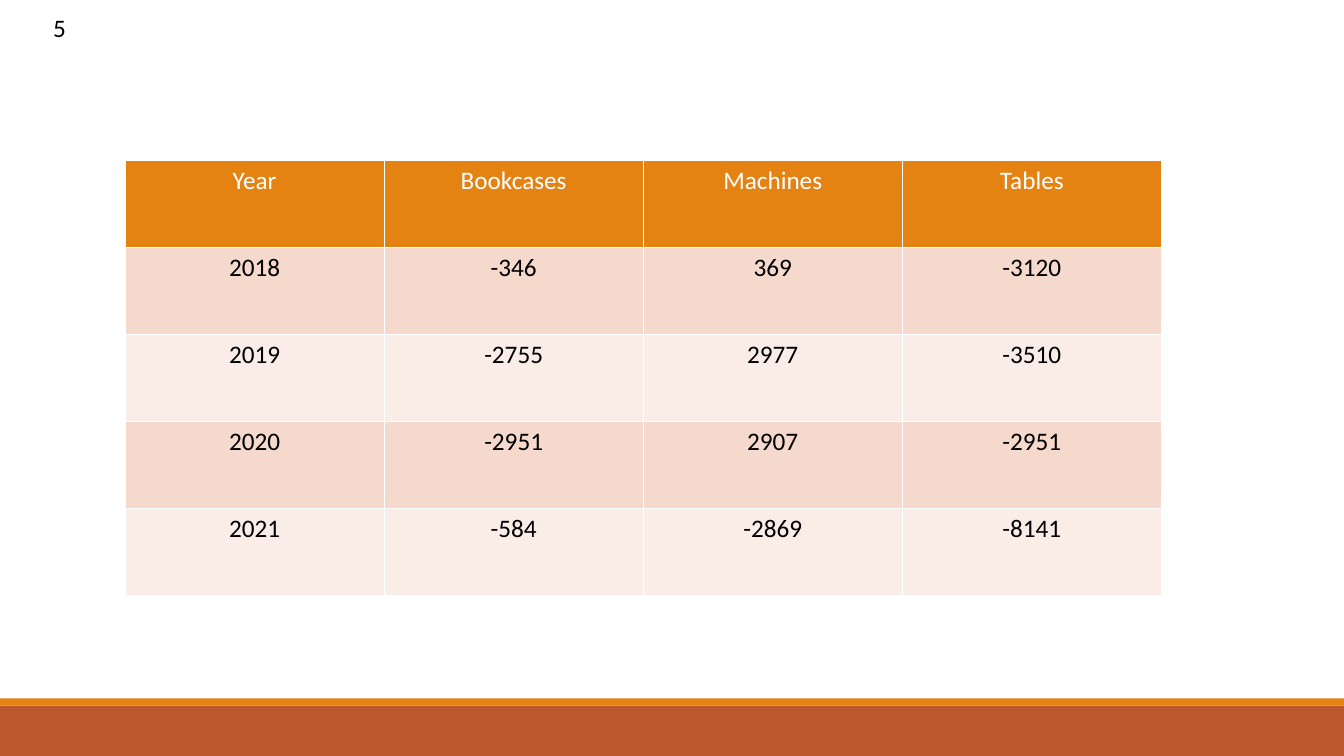
from pptx import Presentation
from pptx.dml.color import RGBColor
from pptx.enum.shapes import MSO_SHAPE
from pptx.enum.text import MSO_ANCHOR, PP_ALIGN
from pptx.util import Inches, Pt

WHITE = RGBColor(0xFF, 0xFF, 0xFF)
BLACK = RGBColor(0x00, 0x00, 0x00)
ORANGE = RGBColor(0xE4, 0x83, 0x12)
RUST = RGBColor(0xBD, 0x58, 0x2C)
BANDS = [RGBColor(0xF5, 0xD9, 0xCC), RGBColor(0xFA, 0xED, 0xE7)]

SLIDE_WIDTH, SLIDE_HEIGHT = 13.33, 7.5
HEADINGS = ["Year", "Bookcases", "Machines", "Tables"]
YEARLY_FIGURES = [
    [2018, -346, 369, -3120],
    [2019, -2755, 2977, -3510],
    [2020, -2951, 2907, -2951],
    [2021, -584, -2869, -8141],
]


def write_centred(frame, text, color):
    paragraph = frame.paragraphs[0]
    paragraph.alignment = PP_ALIGN.CENTER
    run = paragraph.add_run()
    run.text = text
    run.font.name = "Calibri"
    run.font.size = Pt(18)
    run.font.bold = False
    run.font.color.rgb = color


def add_bar(slide, left, top, width, height, color):
    bar = slide.shapes.add_shape(MSO_SHAPE.RECTANGLE, Inches(left), Inches(top),
                                 Inches(width), Inches(height))
    bar.shadow.inherit = False
    bar.fill.solid()
    bar.fill.fore_color.rgb = color
    bar.line.fill.background()
    return bar


def add_footer(slide, left, top, width, height):
    stripe = 0.07
    add_bar(slide, left, top + stripe, width, height - stripe, RUST)
    add_bar(slide, left, top, width, stripe, ORANGE)


def add_figures_table(slide, left, top, width, height):
    rows = [HEADINGS] + YEARLY_FIGURES
    figures = slide.shapes.add_table(len(rows), len(HEADINGS), Inches(left), Inches(top),
                                     Inches(width), Inches(height)).table
    for r, values in enumerate(rows):
        is_header = r == 0
        for c, value in enumerate(values):
            cell = figures.cell(r, c)
            cell.fill.solid()
            cell.fill.fore_color.rgb = ORANGE if is_header else BANDS[(r - 1) % 2]
            write_centred(cell.text_frame, str(value), WHITE if is_header else BLACK)


def add_page_number(slide, left, top, width, height, number):
    page = add_bar(slide, left, top, width, height, WHITE)
    page.line.color.rgb = WHITE
    page.line.width = Pt(1.25)
    page.text_frame.vertical_anchor = MSO_ANCHOR.MIDDLE
    write_centred(page.text_frame, str(number), BLACK)


def main():
    deck = Presentation()
    deck.slide_width = Inches(SLIDE_WIDTH)
    deck.slide_height = Inches(SLIDE_HEIGHT)
    slide = deck.slides.add_slide(deck.slide_layouts[6])  # blank: no title shown

    # Coloured band along the bottom
    add_footer(slide, 0, 6.93, SLIDE_WIDTH, SLIDE_HEIGHT - 6.93)
    # Figures per year
    add_figures_table(slide, 1.24, 1.59, 10.28, 4.32)
    # Page number in the top left corner
    add_page_number(slide, 0.27, 0.04, 0.64, 0.47, 5)

    deck.save("out.pptx")


if __name__ == "__main__":
    main()
